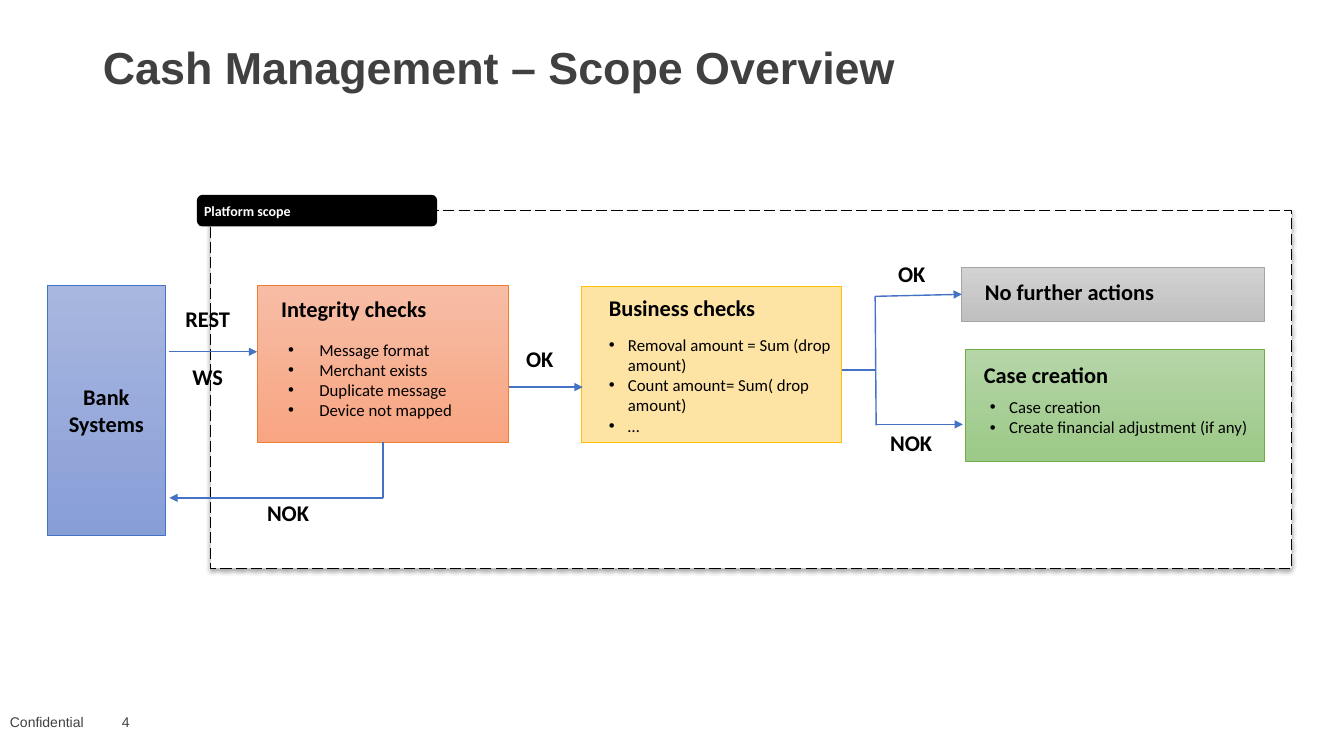
from lxml import etree
from pptx import Presentation
from pptx import util as u
from pptx.dml.color import RGBColor
from pptx.enum import dml, shapes, text
from pptx.oxml.ns import qn

RECT = shapes.MSO_SHAPE.RECTANGLE
MIDDLE = text.MSO_ANCHOR.MIDDLE
TOP = text.MSO_ANCHOR.TOP


def rgb(code):
    return RGBColor.from_string(code)


def write(tf, content, size=16, font="Calibri", color="000000", bold=False,
          align=text.PP_ALIGN.LEFT, anchor=TOP, indent=None, spacing=None):
    tf.word_wrap = True
    tf.auto_size = text.MSO_AUTO_SIZE.NONE
    tf.vertical_anchor = anchor
    for i, line in enumerate(content.split("\n")):
        p = tf.add_paragraph() if i else tf.paragraphs[0]
        p.alignment = align
        if spacing:
            p.line_spacing = spacing
        if indent:
            pPr = p._p.get_or_add_pPr()
            pPr.set("marL", str(u.Inches(indent)))
            pPr.set("indent", str(-u.Inches(indent)))
            etree.SubElement(pPr, qn("a:buFont")).set("typeface", "Arial")
            etree.SubElement(pPr, qn("a:buChar")).set("char", "•")
        r = p.add_run()
        r.text = line
        r.font.size = u.Pt(size)
        r.font.name = font
        r.font.bold = bold
        r.font.color.rgb = rgb(color)


class Deck:
    accent = "4472C4"

    def __init__(self):
        self.prs = Presentation()
        self.prs.slide_width = u.Inches(13.33)
        self.prs.slide_height = u.Inches(7.5)
        self.s = self.prs.slides.add_slide(self.prs.slide_layouts[5])

    def title(self, content, at):
        sp = self.s.shapes.title
        sp.left, sp.top, sp.width, sp.height = map(u.Inches, at)
        write(sp.text_frame, content, size=32, font="Arial", color="404040",
              bold=True, spacing=0.9)

    def box(self, at, fill, line, width=0.5, kind=RECT):
        sp = self.s.shapes.add_shape(kind, *map(u.Inches, at))
        sp.shadow.inherit = False
        if isinstance(fill, tuple):
            sp.fill.gradient()
            sp.fill.gradient_angle = 270
            for stop, color in zip(sp.fill.gradient_stops, fill):
                stop.color.rgb = rgb(color)
        else:
            sp.fill.solid()
            sp.fill.fore_color.rgb = rgb(fill)
        sp.line.color.rgb = rgb(line)
        sp.line.width = u.Pt(width)
        return sp

    def frame(self, at):
        sp = self.box(at, "FFFFFF", "000000", 1)
        sp.line.dash_style = dml.MSO_LINE.LONG_DASH
        effects = sp._element.spPr.find(qn("a:effectLst"))
        shadow = etree.SubElement(effects, qn("a:outerShdw"), blurRad=str(u.Pt(3)),
                                  dist=str(u.Pt(1.8)), dir="5400000", rotWithShape="0")
        black = etree.SubElement(shadow, qn("a:srgbClr"), val="000000")
        etree.SubElement(black, qn("a:alpha"), val="35000")

    def label(self, content, at, **fmt):
        tb = self.s.shapes.add_textbox(*map(u.Inches, at))
        write(tb.text_frame, content, **fmt)

    def line(self, start, end, arrow=True):
        c = self.s.shapes.add_connector(shapes.MSO_CONNECTOR.STRAIGHT,
                                        *map(u.Inches, start + end))
        c.line.color.rgb = rgb(self.accent)
        c.line.width = u.Pt(1)
        if arrow:
            etree.SubElement(c.line._get_or_add_ln(), qn("a:tailEnd"), type="triangle")
        etree.SubElement(c._element.spPr, qn("a:effectLst"))


def main():
    d = Deck()
    d.title("Cash Management – Scope Overview", (0.92, 0.4, 11.5, 1.18))
    d.frame((2.09, 2.09, 10.72, 3.55))

    scope = d.box((1.96, 1.94, 2.37, 0.3), "000000", "000000", 1,
                  shapes.MSO_SHAPE.ROUNDED_RECTANGLE)
    tf = scope.text_frame
    tf.margin_left = tf.margin_right = tf.margin_top = tf.margin_bottom = u.Inches(0.05)
    write(tf, "Platform scope", size=10, color="FFFFFF", bold=True, anchor=MIDDLE)

    for content, left, width in (("Confidential", 0, 1.11), ("4", 1.11, 3.1)):
        d.label(content, (left, 6.96, width, 0.4), size=10, font="Arial",
                color="404040", anchor=MIDDLE)

    systems = d.box((0.47, 2.83, 1.17, 2.48), ("A8B7DF", "889ED7"), d.accent)
    write(systems.text_frame, "Bank Systems", bold=True,
          align=text.PP_ALIGN.CENTER, anchor=MIDDLE)

    for at, fill, line in (
        ((2.55, 2.83, 2.49, 1.56), ("F7BDA5", "F8A582"), "ED7D31"),
        ((5.77, 2.84, 2.58, 1.55), "FDE4A5", "FFC000"),
        ((9.54, 2.65, 3, 0.54), ("D2D2D2", "C0C0C0"), "A5A5A5"),
        ((9.57, 3.47, 2.97, 1.11), ("B5D5A7", "9CC987"), "70AD47"),
    ):
        d.box(at, fill, line)

    for start, end in (
        ((1.68, 3.49), (2.55, 3.49)),
        ((5.05, 3.84), (5.78, 3.84)),
        ((3.8, 4.94), (1.68, 4.94)),
        ((8.68, 2.94), (9.54, 2.92)),
        ((8.69, 4.21), (9.55, 4.21)),
    ):
        d.line(start, end)
    for start, end in (
        ((3.8, 4.39), (3.8, 4.94)),
        ((8.35, 3.67), (8.68, 3.67)),
        ((8.68, 2.94), (8.69, 4.22)),
    ):
        d.line(start, end, arrow=False)

    for content, left, top, width in (
        ("Integrity checks", 2.69, 2.88, 2.34),
        ("Business checks", 5.94, 2.87, 2.34),
        ("No further actions", 9.67, 2.71, 2.52),
        ("Case creation", 9.66, 3.53, 2.88),
        ("REST", 1.74, 2.98, 0.78),
        ("WS", 1.81, 3.55, 0.7),
        ("OK", 5.12, 3.38, 0.64),
        ("OK", 8.81, 2.53, 0.64),
        ("NOK", 2.55, 4.9, 0.82),
        ("NOK", 8.73, 4.21, 0.78),
    ):
        d.label(content, (left, top, width, 0.37), bold=True)

    for content, at, indent in (
        ("Message format\nMerchant exists\nDuplicate message\nDevice not mapped",
         (2.76, 3.32, 2.63, 0.91), 0.31),
        ("Removal amount = Sum (drop amount)\nCount amount= Sum( drop amount)\n…",
         (5.94, 3.27, 2.63, 1.11), 0.19),
        ("Case creation\nCreate financial adjustment (if any)",
         (9.72, 3.89, 2.92, 0.5), 0.19),
    ):
        d.label(content, at, size=12, indent=indent)

    d.prs.save("out.pptx")


if __name__ == "__main__":
    main()
